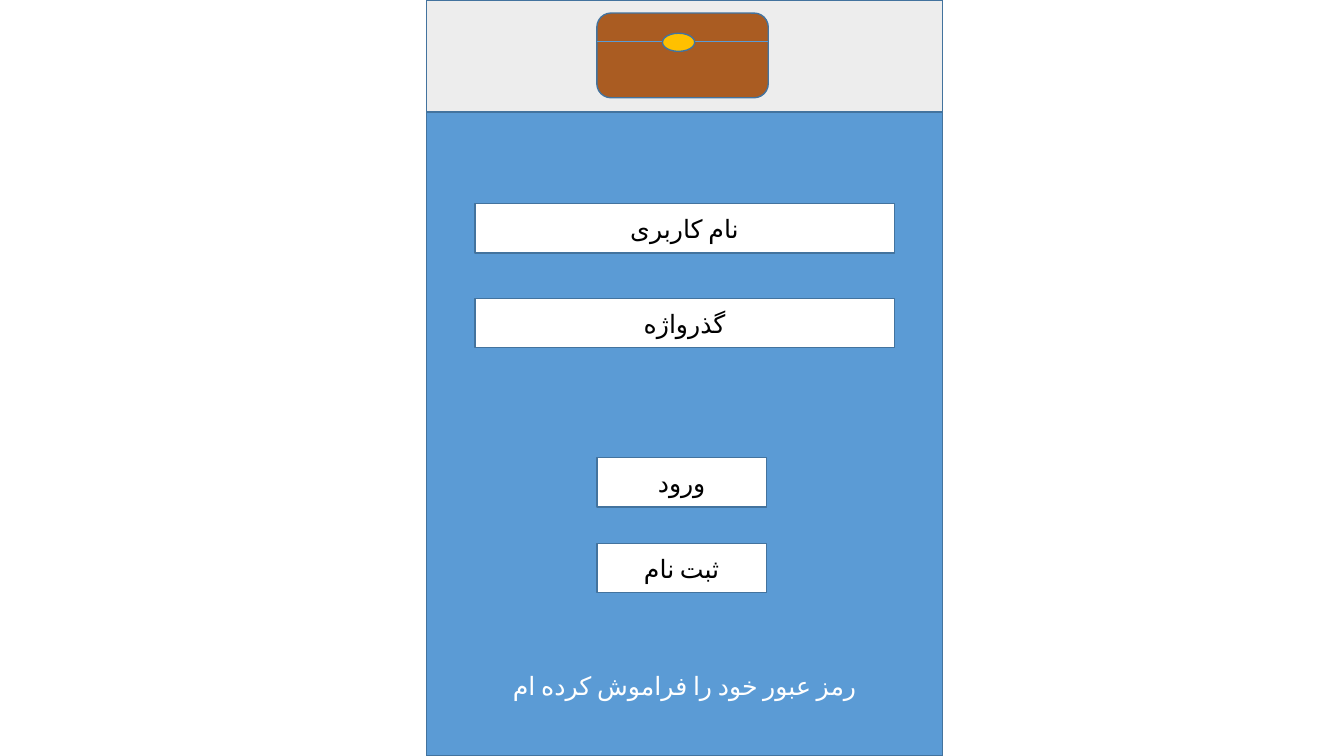
from dataclasses import dataclass

from lxml import etree
from pptx import Presentation
from pptx.dml import color
from pptx.enum import shapes, text
from pptx.oxml import ns
from pptx.util import Inches, Pt

COLORS = {
    "panel": "5B9BD5",
    "outline": "43739E",
    "header": "EDEDED",
    "white": "FFFFFF",
    "black": "000000",
    "leather": "AA5C22",
    "clasp": "FFC000",
}
KINDS = shapes.MSO_SHAPE
PANEL_LEFT, PANEL_WIDTH = 4.23, 5.12
FIELD_LEFT, FIELD_WIDTH = 4.71, 4.16
BUTTON_LEFT, BUTTON_WIDTH = 5.92, 1.68
BOX_HEIGHT = 0.49
CASE_WIDTH, FLAP_TOP = 1.7, 0.41


@dataclass
class Block:
    left: float
    top: float
    width: float
    height: float
    fill: str = "white"
    kind: KINDS = KINDS.RECTANGLE
    label: str = ""


def rgb(name: str) -> color.RGBColor:
    return color.RGBColor.from_string(COLORS[name])


def write(box, words: str, *, size: float = 18, tint: str = "black",
          font: str = "Calibri", anchor=text.MSO_ANCHOR.MIDDLE) -> None:
    frame = box.text_frame
    frame.word_wrap = True
    frame.vertical_anchor = anchor
    para = frame.paragraphs[0]
    para.alignment = text.PP_ALIGN.CENTER
    span = para.add_run()
    span.text = words
    span.font.name = font
    span.font.size = Pt(size)
    span.font.color.rgb = rgb(tint)
    properties = span._r.get_or_add_rPr()
    properties.set("lang", "fa-IR")
    etree.SubElement(properties, ns.qn("a:cs")).set("typeface", font)


def draw_block(page, block: Block) -> None:
    box = page.shapes.add_shape(
        block.kind, Inches(block.left), Inches(block.top),
        Inches(block.width), Inches(block.height))
    box.shadow.inherit = False
    box.fill.solid()
    box.fill.fore_color.rgb = rgb(block.fill)
    box.line.color.rgb = rgb("outline")
    box.line.width = Pt(1)
    if block.label:
        write(box, block.label)


def draw_flap(page) -> None:
    flap = page.shapes.add_connector(
        shapes.MSO_CONNECTOR.STRAIGHT, Inches(BUTTON_LEFT), Inches(FLAP_TOP),
        Inches(BUTTON_LEFT + CASE_WIDTH), Inches(FLAP_TOP))
    flap.line.color.rgb = rgb("panel")
    flap.line.width = Pt(0.5)
    etree.SubElement(flap._element.spPr, ns.qn("a:effectLst"))


def draw_reminder(page) -> None:
    box = page.shapes.add_textbox(
        Inches(FIELD_LEFT), Inches(6.6), Inches(FIELD_WIDTH), Inches(0.4))
    write(box, "رمز عبور خود را فراموش کرده ام", tint="white",
          anchor=text.MSO_ANCHOR.TOP)
    box.text_frame.auto_size = text.MSO_AUTO_SIZE.SHAPE_TO_FIT_TEXT


FORM = [
    Block(PANEL_LEFT, 0, PANEL_WIDTH, 7.5, "panel"),
    Block(FIELD_LEFT, 2.02, FIELD_WIDTH, BOX_HEIGHT, label="نام کاربری"),
    Block(FIELD_LEFT, 2.96, FIELD_WIDTH, BOX_HEIGHT, label="گذرواژه"),
    Block(BUTTON_LEFT, 4.54, BUTTON_WIDTH, BOX_HEIGHT, label="ورود"),
    Block(BUTTON_LEFT, 5.39, BUTTON_WIDTH, BOX_HEIGHT, label="ثبت نام"),
]
HEADER = [
    Block(PANEL_LEFT, 0, PANEL_WIDTH, 1.11, "header"),
    Block(BUTTON_LEFT, 0.13, CASE_WIDTH, 0.84, "leather", KINDS.ROUNDED_RECTANGLE),
]
CLASP = Block(6.57, 0.33, 0.32, 0.18, "clasp", KINDS.OVAL)


def main() -> None:
    deck = Presentation()
    deck.slide_width, deck.slide_height = Inches(13.33), Inches(7.5)
    page = deck.slides.add_slide(deck.slide_layouts[6])
    for block in FORM:
        draw_block(page, block)
    draw_reminder(page)
    for block in HEADER:
        draw_block(page, block)
    draw_flap(page)
    draw_block(page, CLASP)
    deck.save("out.pptx")


if __name__ == "__main__":
    main()
